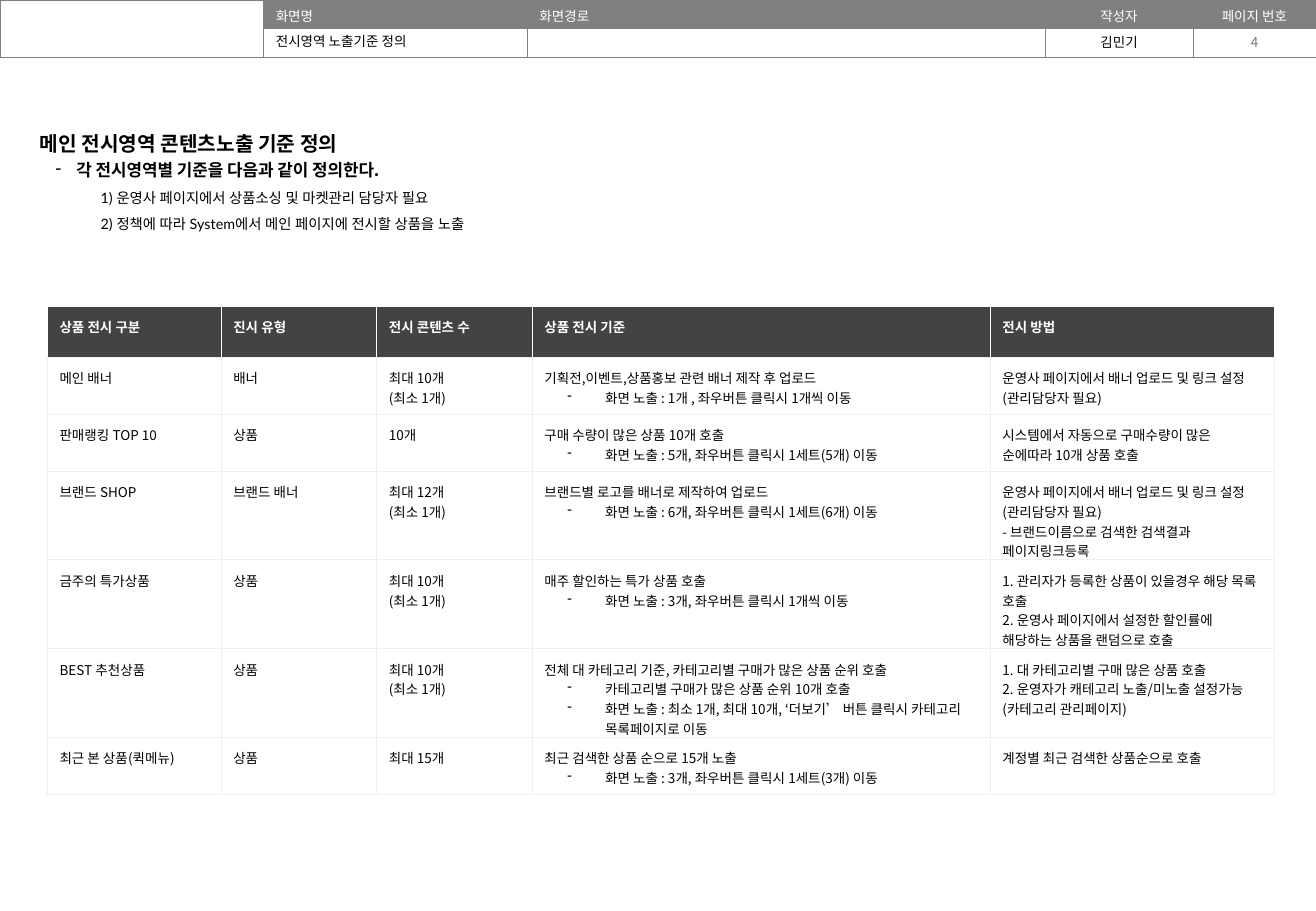
import pptx
import pptx.util
import pptx.dml.color
import pptx.enum.text
import pptx.oxml.xmlchemy

Inch = pptx.util.Inches
Pt = pptx.util.Pt
Align = pptx.enum.text.PP_ALIGN
Anchor = pptx.enum.text.MSO_ANCHOR
make = pptx.oxml.xmlchemy.OxmlElement

WIDE, HIGH = 10.83, 7.5
SANS, LATO = "Noto Sans CJK KR", "Lato"
GREY, DARK, PALE = "808080", "434343", "EFEFEF"
BLACK, WHITE = "000000", "FFFFFF"

BAR_COLS = [2.17, 2.17, 4.26, 1.22, 1.01]
BAR_HEADS = ["", "화면명", "화면경로", "작성자", "페이지 번호"]

# Lines that start with * are dash bullets
HEADING = [
    # text, size, bold, font, spacing, indent
    ("메인 전시영역 콘텐츠노출 기준 정의", 12, True, SANS, 1.24, 0),
    ("*각 전시영역별 기준을 다음과 같이 정의한다.", 10, True, SANS, 1.24, 0.3),
    ("1) 운영사 페이지에서 상품소싱 및 마켓관리 담당자 필요", 8.5, False, LATO, 1.5, 0.5),
    ("2) 정책에 따라 System에서 메인 페이지에 전시할 상품을 노출", 8.5, False, LATO, 1.5, 0.5),
]

RULE_COLS = [1.43, 1.28, 1.28, 3.77, 2.34]
RULE_ROWS = [0.42, 0.47, 0.47, 0.73, 0.73, 0.73, 0.47]
RULES = [
    ["상품 전시 구분", "진시 유형", "전시 콘텐츠 수", "상품 전시 기준", "전시 방법"],
    ["메인 배너", "배너", "최대 10개\n(최소 1개)",
     "기획전,이벤트,상품홍보 관련 배너 제작 후 업로드\n"
     "*화면 노출 : 1개 , 좌우버튼 클릭시 1개씩 이동",
     "운영사 페이지에서 배너 업로드 및 링크 설정(관리담당자 필요)"],
    ["판매랭킹 TOP 10", "상품", "10개",
     "구매 수량이 많은 상품 10개 호출\n"
     "*화면 노출 : 5개, 좌우버튼 클릭시 1세트(5개) 이동",
     "시스템에서 자동으로 구매수량이 많은 순에따라 10개 상품 호출"],
    ["브랜드 SHOP", "브랜드 배너", "최대 12개\n(최소 1개)",
     "브랜드별 로고를 배너로 제작하여 업로드\n"
     "*화면 노출 : 6개, 좌우버튼 클릭시 1세트(6개) 이동",
     "운영사 페이지에서 배너 업로드 및 링크 설정(관리담당자 필요)\n"
     "- 브랜드이름으로 검색한 검색결과 페이지링크등록"],
    ["금주의 특가상품", "상품", "최대 10개\n(최소 1개)",
     "매주 할인하는 특가 상품 호출\n"
     "*화면 노출 : 3개, 좌우버튼 클릭시 1개씩 이동",
     "1. 관리자가 등록한 상품이 있을경우 해당 목록 호출\n"
     "2. 운영사 페이지에서 설정한 할인률에 해당하는 상품을 랜덤으로 호출"],
    ["BEST 추천상품", "상품", "최대 10개\n(최소 1개)",
     "전체 대 카테고리 기준, 카테고리별 구매가 많은 상품 순위 호출\n"
     "*카테고리별 구매가 많은 상품 순위 10개 호출\n"
     "*화면 노출 : 최소 1개, 최대 10개, ‘더보기’ 버튼 클릭시 카테고리 목록페이지로 이동",
     "1. 대 카테고리별 구매 많은 상품 호출\n"
     "2. 운영자가 캐테고리 노출/미노출 설정가능(카테고리 관리페이지)"],
    ["최근 본 상품(퀵메뉴)", "상품", "최대 15개",
     "최근 검색한 상품 순으로 15개 노출\n"
     "*화면 노출 : 3개, 좌우버튼 클릭시 1세트(3개) 이동",
     "계정별 최근 검색한 상품순으로 호출"],
]


def paint(hue):
    return pptx.dml.color.RGBColor.from_string(hue)


def style(para, size=8, hue=BLACK, bold=False, face=SANS, align=Align.LEFT):
    para.alignment = align
    for run in para.runs:
        font = run.font
        font.size, font.bold, font.name = Pt(size), bold, face
        font.color.rgb = paint(hue)
        east = make("a:ea")
        east.set("typeface", face)
        font._element.append(east)
    if not para.runs:
        end = make("a:endParaRPr")
        end.set("sz", str(size * 100))
        para._p.append(end)


def indent(para, left, hang=0, dash=False):
    props = para._p.get_or_add_pPr()
    props.set("marL", str(Inch(left)))
    props.set("indent", str(Inch(-hang)))
    if dash:
        mark = make("a:buChar")
        mark.set("char", "-")
        props.append(mark)


def fill(frame, text, **look):
    for i, line in enumerate(text.split("\n")):
        para = frame.add_paragraph() if i else frame.paragraphs[0]
        para.text = line.lstrip("*")
        if line.startswith("*"):
            indent(para, 0.5, 0.31, True)
        style(para, **look)


def edge(cell, hues, width):
    props = cell._tc.get_or_add_tcPr()
    for side, hue in zip("LRTB", hues):
        line = make("a:ln" + side)
        line.set("w", str(Pt(width)))
        solid, tint = make("a:solidFill"), make("a:srgbClr")
        tint.set("val", hue)
        solid.append(tint)
        line.append(solid)
        props.append(line)


def grid(slide, box, cols, rows, top):
    """Add a plain table whose cells share one set of margins."""
    table = slide.shapes.add_table(len(rows), len(cols), *map(Inch, box)).table
    table.first_row = table.horz_banding = False
    for col, wide in zip(table.columns, cols):
        col.width = Inch(wide)
    for row, high in zip(table.rows, rows):
        row.height = Inch(high)
    for cell in table.iter_cells():
        cell.margin_left = cell.margin_right = Inch(0.1)
        cell.margin_top, cell.margin_bottom = Inch(top), 0
    return table


def back(cell, hue):
    if hue:
        cell.fill.solid()
        cell.fill.fore_color.rgb = paint(hue)
    else:
        cell.fill.background()


def label(shape, text, box, **look):
    shape.left, shape.top, shape.width, shape.height = map(Inch, box)
    frame = shape.text_frame
    frame.word_wrap, frame.vertical_anchor = True, Anchor.MIDDLE
    frame.auto_size = pptx.enum.text.MSO_AUTO_SIZE.NONE
    frame.margin_left = frame.margin_right = Inch(0.1)
    frame.margin_top = frame.margin_bottom = 0
    fill(frame, text, **look)


def header(slide, box):
    left, top, wide, high = box
    half = high / 2
    table = grid(slide, box, BAR_COLS, [half] * 2, 0.05)
    for r in range(2):
        for c, head in enumerate(BAR_HEADS):
            cell = table.cell(r, c)
            edge(cell, [GREY] * 4, 0.25)
            back(cell, GREY if c and not r else None)
            align = Align.CENTER if c > 2 else Align.LEFT
            fill(cell.text_frame, "" if r else head, hue=WHITE, align=align)
    table.cell(0, 0).merge(table.cell(1, 0))

    # Values under the heads
    values = [(1, "전시영역 노출기준 정의", BLACK, Align.LEFT),
              (3, "김민기", BLACK, Align.CENTER),
              (4, "4", "797979", Align.CENTER)]
    for c, text, hue, align in values:
        shape = slide.shapes.title if c == 1 else slide.shapes.add_textbox(0, 0, 0, 0)
        place = (left + sum(BAR_COLS[:c]), top + half - 0.01, BAR_COLS[c], half)
        label(shape, text, place, hue=hue, align=align)


def intro(slide, box):
    frame = slide.shapes.add_textbox(*map(Inch, box)).text_frame
    frame.word_wrap = True
    frame.margin_left = frame.margin_right = Inch(0.1)
    frame.margin_top = frame.margin_bottom = Inch(0.1)
    for i, (text, size, bold, face, space, left) in enumerate(HEADING):
        para = frame.add_paragraph() if i else frame.paragraphs[0]
        para.text = text.lstrip("*")
        dash = text.startswith("*")
        indent(para, left, 0.17 if dash else 0, dash)
        para.line_spacing = space
        style(para, size, bold=bold, face=face)


def rules(slide, box):
    table = grid(slide, box, RULE_COLS, RULE_ROWS, 0.09)
    for r, row in enumerate(RULES):
        for c, text in enumerate(row):
            cell = table.cell(r, c)
            edge(cell, [PALE if r else WHITE] * 3 + [PALE], 0.75)
            back(cell, None if r else DARK)
            fill(cell.text_frame, text, hue=BLACK if r else WHITE, bold=not r)


def main():
    deck = pptx.Presentation()
    deck.slide_width, deck.slide_height = Inch(WIDE), Inch(HIGH)
    slide = deck.slides.add_slide(deck.slide_layouts[5])
    header(slide, (0, 0, WIDE, 0.47))
    intro(slide, (0.23, 0.93, 10.28, 1.19))
    rules(slide, (0.39, 2.52, sum(RULE_COLS), sum(RULE_ROWS)))
    deck.save("out.pptx")


if __name__ == "__main__":
    main()
